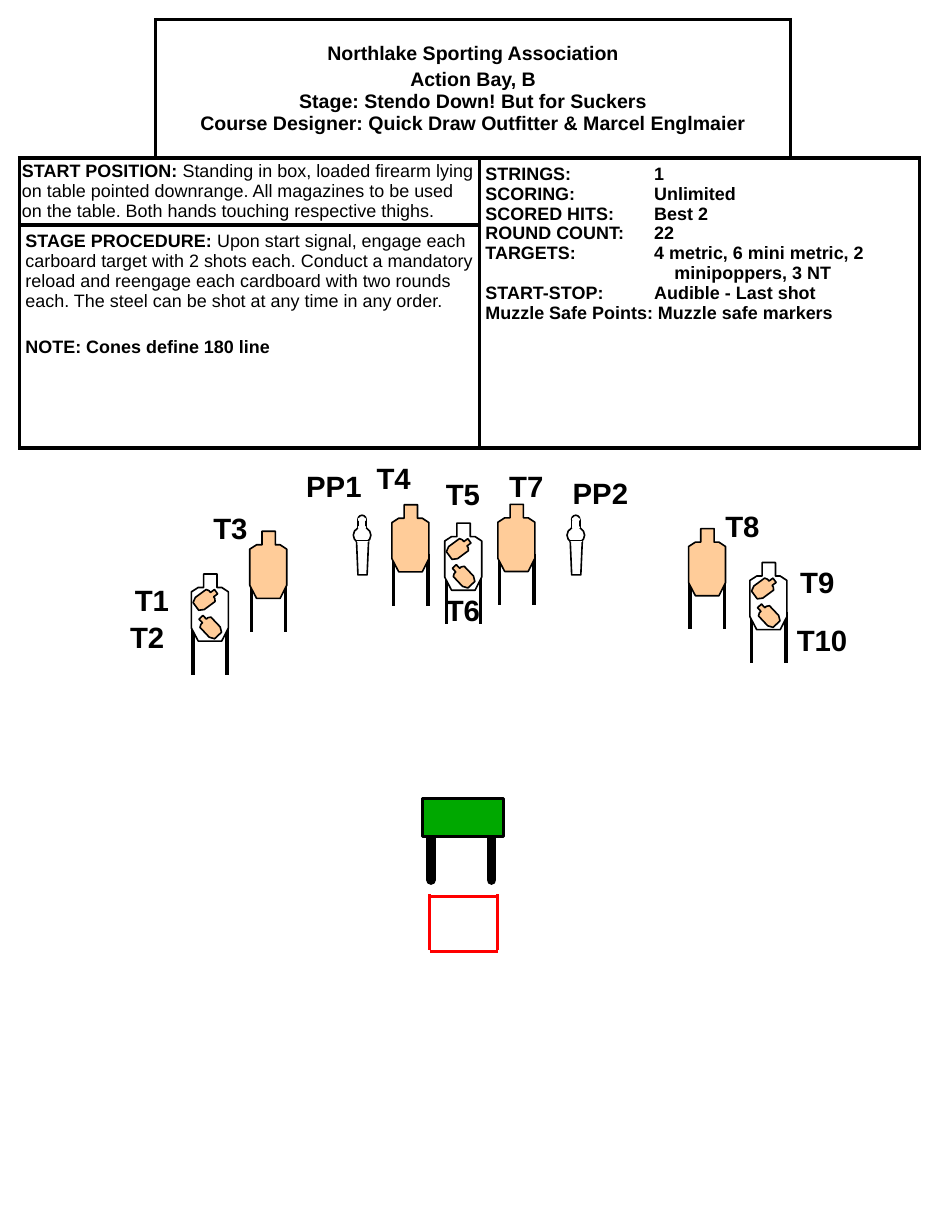
from lxml import etree
from pptx import Presentation
from pptx.dml.color import RGBColor
from pptx.enum.shapes import MSO_CONNECTOR, MSO_SHAPE
from pptx.enum.text import MSO_ANCHOR, MSO_AUTO_SIZE, PP_ALIGN
from pptx.oxml.ns import qn
from pptx.util import Pt

LINE = MSO_CONNECTOR.STRAIGHT
OVAL, RECT = MSO_SHAPE.OVAL, MSO_SHAPE.RECTANGLE
MIDDLE, TOP = MSO_ANCHOR.MIDDLE, MSO_ANCHOR.TOP
CENTER, LEFT = PP_ALIGN.CENTER, PP_ALIGN.LEFT
FIT = MSO_AUTO_SIZE.SHAPE_TO_FIT_TEXT
BLACK = RGBColor(0x00, 0x00, 0x00)
WHITE = RGBColor(0xFF, 0xFF, 0xFF)
RED = RGBColor(0xFF, 0x00, 0x00)
GREEN = RGBColor(0x00, 0xA8, 0x00)
TAN = RGBColor(0xFF, 0xCC, 0x99)


def paint(shape, fill, line=BLACK, width=1):
    shape.shadow.inherit = False
    shape.fill.solid()
    shape.fill.fore_color.rgb = fill
    if line is None:
        shape.line.fill.background()
    else:
        shape.line.color.rgb = line
        shape.line.width = Pt(width)


def outline(points, left, top):
    spots = [(Pt(left + x), Pt(top + y)) for x, y in points]
    pen = shapes.build_freeform(*spots[0])
    pen.add_line_segments(spots[1:], close=True)
    return pen.convert_to_shape()


prs = Presentation()
prs.slide_width, prs.slide_height = Pt(576), Pt(756)
slide = prs.slides.add_slide(prs.slide_layouts[6])
shapes = slide.shapes

# Stage briefing table
widths = [83.5, 198.7, 190.8, 79.2]
heights = [85, 41, 136.8]
table = shapes.add_table(3, 4, Pt(12), Pt(12), Pt(sum(widths)), Pt(sum(heights))).table
table.first_row = table.horz_banding = False
for col, width in zip(table.columns, widths):
    col.width = Pt(width)
for row, height in zip(table.rows, heights):
    row.height = Pt(height)
for first, last in [((0, 1), (0, 2)), ((1, 0), (1, 1)), ((1, 2), (2, 3)), ((2, 0), (2, 1))]:
    table.cell(*first).merge(table.cell(*last))

# Cell fills and borders; the top corners stay open
corners = {(0, 0): "RB", (0, 3): "LB"}
for r in range(3):
    for c in range(4):
        cell = table.cell(r, c)
        cell.fill.solid()
        cell.fill.fore_color.rgb = WHITE
        props = cell._tc.get_or_add_tcPr()
        for spot, side in enumerate("LRTB"):
            edge = etree.Element(qn(f"a:ln{side}"), w=str(Pt(2.25)))
            if side in corners.get((r, c), "LRTB"):
                ink = etree.SubElement(edge, qn("a:solidFill"))
                etree.SubElement(ink, qn("a:srgbClr"), val=str(BLACK))
            else:
                etree.SubElement(edge, qn("a:noFill"))
            props.insert(spot, edge)

# Cell text: row, column, size, insets, anchor, alignment, tab stop,
# then paragraphs of (space before, left margin, runs of (text, bold))
facts = ["STRINGS:\t1", "SCORING:\tUnlimited", "SCORED HITS:\tBest 2",
         "ROUND COUNT:\t22", "TARGETS:\t4 metric, 6 mini metric, 2",
         "minipoppers, 3 NT", "START-STOP:\tAudible - Last shot",
         "Muzzle Safe Points: Muzzle safe markers"]
texts = [
    (0, 1, 12, (3.6, 3.6), MIDDLE, CENTER, None, [
        (0, 0, [("Northlake Sporting Association", True)]),
        (2.4, 0, [("Action Bay, B", True)]),
        (0, 0, [("Stage: Stendo Down! But for Suckers", True)]),
        (0, 0, [("Course Designer: Quick Draw Outfitter & Marcel Englmaier", True)])]),
    (1, 0, 11, (1.5, 2.2), TOP, LEFT, None, [
        (0, 0, [("START POSITION: ", True),
                ("Standing in box, loaded firearm lying on table pointed downrange. "
                 "All magazines to be used on the table. Both hands touching "
                 "respective thighs.", False)])]),
    (1, 2, 11, (3.6, 3.6), TOP, LEFT, 103.5,
     [(0, 116 if fact.startswith("mini") else 0, [(fact, True)]) for fact in facts]),
    (2, 0, 11, (3.6, 3.6), TOP, LEFT, None, [
        (0, 0, [("STAGE PROCEDURE: ", True),
                ("Upon start signal, engage each carboard target with 2 shots each. "
                 "Conduct a mandatory reload and reengage each cardboard with two "
                 "rounds each. The steel can be shot at any time in any order.", False)]),
        (16, 0, [("NOTE: Cones define 180 line", True)])]),
]
for r, c, size, (side, edge), anchor, align, stop, paras in texts:
    cell = table.cell(r, c)
    cell.margin_left = cell.margin_right = Pt(side)
    cell.margin_top = cell.margin_bottom = Pt(edge)
    cell.vertical_anchor = anchor
    frame = cell.text_frame
    for i, (gap, indent, runs) in enumerate(paras):
        para = frame.add_paragraph() if i else frame.paragraphs[0]
        para.alignment = align
        if gap:
            para.space_before = Pt(gap)
        props = para._p.get_or_add_pPr()
        if indent:
            props.set("marL", str(Pt(indent)))
        if stop:
            tabs = etree.SubElement(props, qn("a:tabLst"))
            etree.SubElement(tabs, qn("a:tab"), pos=str(Pt(stop)), algn="l")
        for words, bold in runs:
            run = para.add_run()
            run.text = words
            font = run.font
            font.name, font.size, font.bold = "Arial", Pt(size), bold
            font.color.rgb = BLACK

# Targets: left, top, whether two small targets hang on it
targets = [(117.4, 352.2, True), (422.4, 324.4, False), (153.2, 326, False),
           (305.4, 309.5, False), (460, 345.2, True), (272.8, 321, True),
           (240.4, 309.7, False)]

# Straight lines: start box, table legs, target stands
lines = [(263.5, 550, 305.3, 550, RED, 2), (305.3, 548.8, 305.3, 583.2, RED, 2),
         (263.5, 548.8, 263.5, 583.2, RED, 2), (263.5, 584, 305.3, 584, RED, 2)]
lines += [(x, 513, x, 540, BLACK, 6) for x in (264.4, 301.5)]
lines += [(x + leg, y + 30.5, x + leg, y + 61.9, BLACK, 2.25)
          for x, y, small in targets for leg in (1, 22)]
for x1, y1, x2, y2, color, width in lines:
    rule = shapes.add_connector(LINE, Pt(x1), Pt(y1), Pt(x2), Pt(y2))
    rule.line.color.rgb = color
    rule.line.width = Pt(width)
    if width == 6:
        rule.line._get_or_add_ln().set("cap", "rnd")
    etree.SubElement(rule._element.spPr, qn("a:effectLst"))

# Table top
desk = shapes.add_shape(RECT, Pt(259.2), Pt(490.2), Pt(49.7), Pt(23.2))
paint(desk, GREEN, BLACK, 1.75)

# Cardboard targets
body = [(7.5, 0), (15.7, 0), (15.7, 8.3), (18.6, 8.3), (22.7, 11), (22.7, 33.2),
        (18.6, 41.2), (4.2, 41.2), (0, 33.2), (0, 11), (4.2, 8.3), (7.5, 8.3)]
for x, y, small in targets:
    paint(outline(body, x, y), WHITE if small else TAN)
    if small:
        for dx, dy, angle in [(4.3, 7.7, 53.6), (6.5, 24.6, 316.7)]:
            mini = outline(body, x + dx, y + dy)
            mini.width, mini.height = Pt(9.2), Pt(15.3)
            mini.rotation = angle
            paint(mini, TAN)

# Steel poppers
stem = [(2, 15.8), (9.4, 15.8), (8.5, 36.6), (2.9, 36.6)]
for x, y in [(347.8, 316.2), (216.7, 316.2)]:
    parts = [(OVAL, 2.9, 0, 5, 5, BLACK), (OVAL, 0, 7.2, 10.8, 10, BLACK),
             (None, 0, 0, 0, 0, BLACK), (RECT, 2.9, 2.9, 5, 5, BLACK),
             (RECT, 2.2, 15.8, 7.2, 0.7, None), (RECT, 3.3, 7.2, 4.3, 0.7, WHITE),
             (RECT, 3.3, 2.2, 4.3, 0.7, WHITE)]
    for kind, dx, dy, width, height, edge in parts:
        if kind is None:
            part = outline(stem, x, y)
        else:
            part = shapes.add_shape(kind, Pt(x + dx), Pt(y + dy), Pt(width), Pt(height))
        paint(part, WHITE, edge)

# Labels
labels = [("T1", 75.6, 353.5), ("T2", 72.7, 376.6), ("T3", 123.8, 309.6),
          ("T4", 223.9, 278.6), ("T5", 266.4, 288.7), ("T6", 266.4, 360),
          ("T7", 305.3, 283.7), ("T8", 437.8, 308.2), ("T9", 483.8, 342.7),
          ("PP1", 180.7, 283.7), ("PP2", 344.2, 288), ("T10", 481.7, 378)]
for name, x, y in labels:
    box = shapes.add_textbox(Pt(x), Pt(y), Pt(54 if len(name) > 2 else 41.8), Pt(28.8))
    frame = box.text_frame
    frame.word_wrap = True
    frame.auto_size = FIT
    run = frame.paragraphs[0].add_run()
    run.text = name
    font = run.font
    font.name, font.size, font.bold = "Arial", Pt(18), True
    font.color.rgb = BLACK

prs.save("out.pptx")
